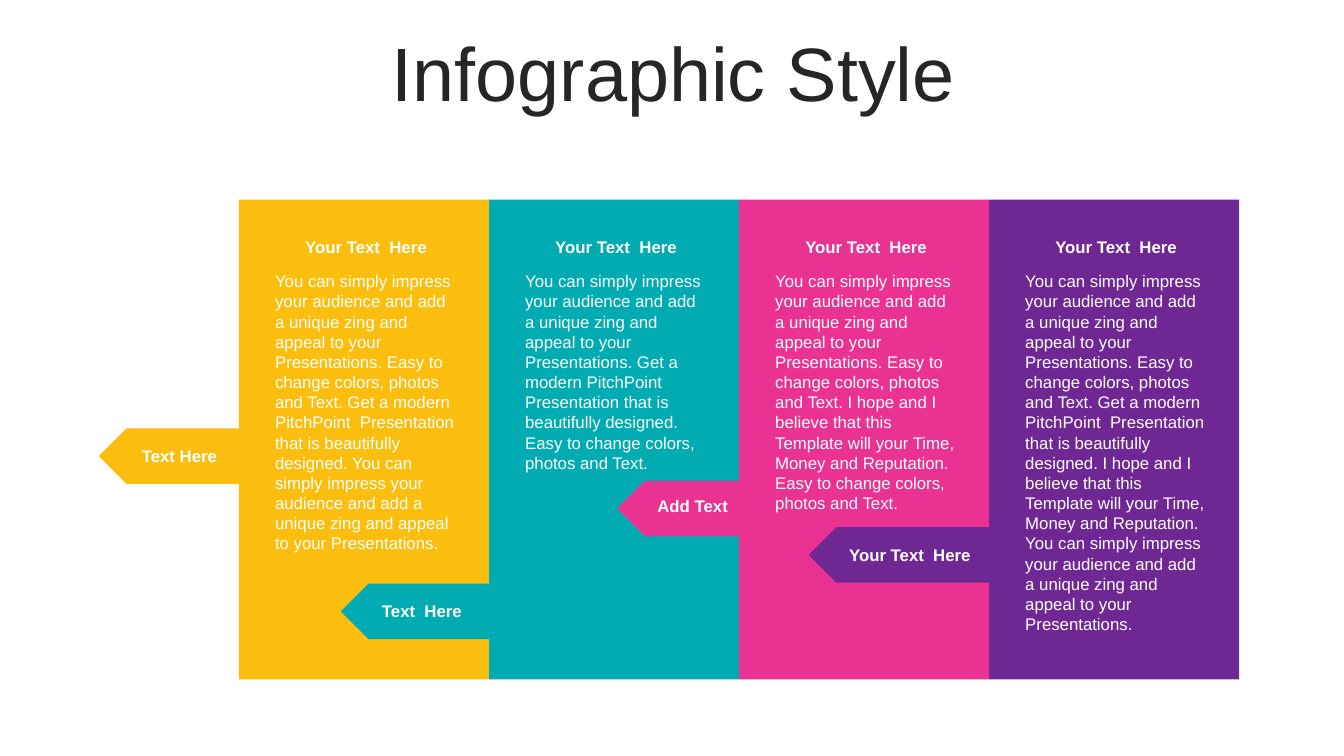
from dataclasses import dataclass

from pptx import Presentation
from pptx import util as u
from pptx.dml.color import RGBColor
from pptx.enum import shapes, text


@dataclass(frozen=True)
class Theme:
    font: str = "Arial"
    dark: str = "262626"
    white: str = "FFFFFF"
    gold: str = "FCBE0E"
    teal: str = "00ACB2"
    pink: str = "EA3293"
    plum: str = "6F2893"
    title: int = 54
    body: int = 12


@dataclass(frozen=True)
class Box:
    left: float
    top: float
    width: float
    height: float

    def args(self) -> list:
        return [u.Inches(n) for n in (self.left, self.top, self.width, self.height)]


@dataclass(frozen=True)
class Panel:
    color: str
    body: str
    tag: str
    tag_top: float
    tag_width: float
    label: Box


LOOK = Theme()
LEFT, TOP, WIDTH, HEIGHT = 2.37, 1.98, 2.48, 4.76
TAG = 0.55

INTRO = ("You can simply impress your audience and add a unique zing "
         "and appeal to your Presentations.")
EASY = "Easy to change colors, photos and Text."
MODERN = "Get a modern PitchPoint  Presentation that is beautifully designed."
HOPE = "I hope and I believe that this Template will your Time, Money and Reputation."

PANELS = [
    Panel(LOOK.gold, " ".join([INTRO, EASY, MODERN, INTRO]),
          "Text Here", 4.25, 1.39, Box(1.28, 4.37, 1, 0.3)),
    Panel(LOOK.teal, " ".join([INTRO, MODERN, EASY]),
          "Text  Here", 5.79, 1.47, Box(3.53, 5.91, 1.31, 0.3)),
    Panel(LOOK.pink, " ".join([INTRO, EASY, HOPE, EASY]),
          "Add Text", 4.77, 1.21, Box(6.28, 4.87, 1.18, 0.3)),
    Panel(LOOK.plum, " ".join([INTRO, EASY, MODERN, HOPE, INTRO]),
          "Your Text  Here", 5.23, 1.79, Box(8.02 + 0.22, 5.36, 1.57, 0.3)),
]


def write(frame, words: str, *, size: int = LOOK.body, color: str = LOOK.white,
          bold: bool = False, align=text.PP_ALIGN.CENTER,
          anchor=text.MSO_ANCHOR.TOP):
    frame.word_wrap = True
    frame.auto_size = text.MSO_AUTO_SIZE.NONE
    frame.vertical_anchor = anchor
    para = frame.paragraphs[0]
    para.alignment = align
    run = para.add_run()
    run.text = words
    run.font.name = LOOK.font
    run.font.size = u.Pt(size)
    run.font.bold = bold
    run.font.color.rgb = RGBColor.from_string(color)
    return para


def block(slide, kind, box: Box, color: str):
    shape = slide.shapes.add_shape(kind, *box.args())
    shape.shadow.inherit = False
    shape.fill.solid()
    shape.fill.fore_color.rgb = RGBColor.from_string(color)
    shape.line.fill.background()
    return shape


def note(slide, box: Box, words: str, **style) -> None:
    write(slide.shapes.add_textbox(*box.args()).text_frame, words, **style)


def head(slide, words: str) -> None:
    title = slide.shapes.title
    title.left, title.top, title.width, title.height = Box(0.35, 0.37, 12.66, 0.79).args()
    para = write(title.text_frame, words, size=LOOK.title, color=LOOK.dark,
                 anchor=text.MSO_ANCHOR.MIDDLE)
    para.line_spacing = 0.9
    para.space_before = u.Pt(10)


def draw(slide, panel: Panel, left: float) -> None:
    block(slide, shapes.MSO_SHAPE.RECTANGLE, Box(left, TOP, WIDTH, HEIGHT), panel.color)
    arrow = block(slide, shapes.MSO_SHAPE.PENTAGON,
                  Box(left - panel.tag_width, panel.tag_top, panel.tag_width, TAG),
                  panel.color)
    arrow.rotation = 180
    note(slide, panel.label, panel.tag, bold=True)
    note(slide, Box(left + 0.26, 2.64, 1.99, 3.74), panel.body,
         align=text.PP_ALIGN.LEFT)
    note(slide, Box(left + 0.37, 2.3, 1.78, 0.3), "Your Text  Here", bold=True)


def main() -> None:
    deck = Presentation()
    deck.slide_width, deck.slide_height = u.Inches(13.33), u.Inches(7.5)
    slide = deck.slides.add_slide(deck.slide_layouts[5])
    head(slide, "Infographic Style")
    for i, panel in enumerate(PANELS):
        draw(slide, panel, LEFT + i * WIDTH)
    deck.save("out.pptx")


if __name__ == "__main__":
    main()
